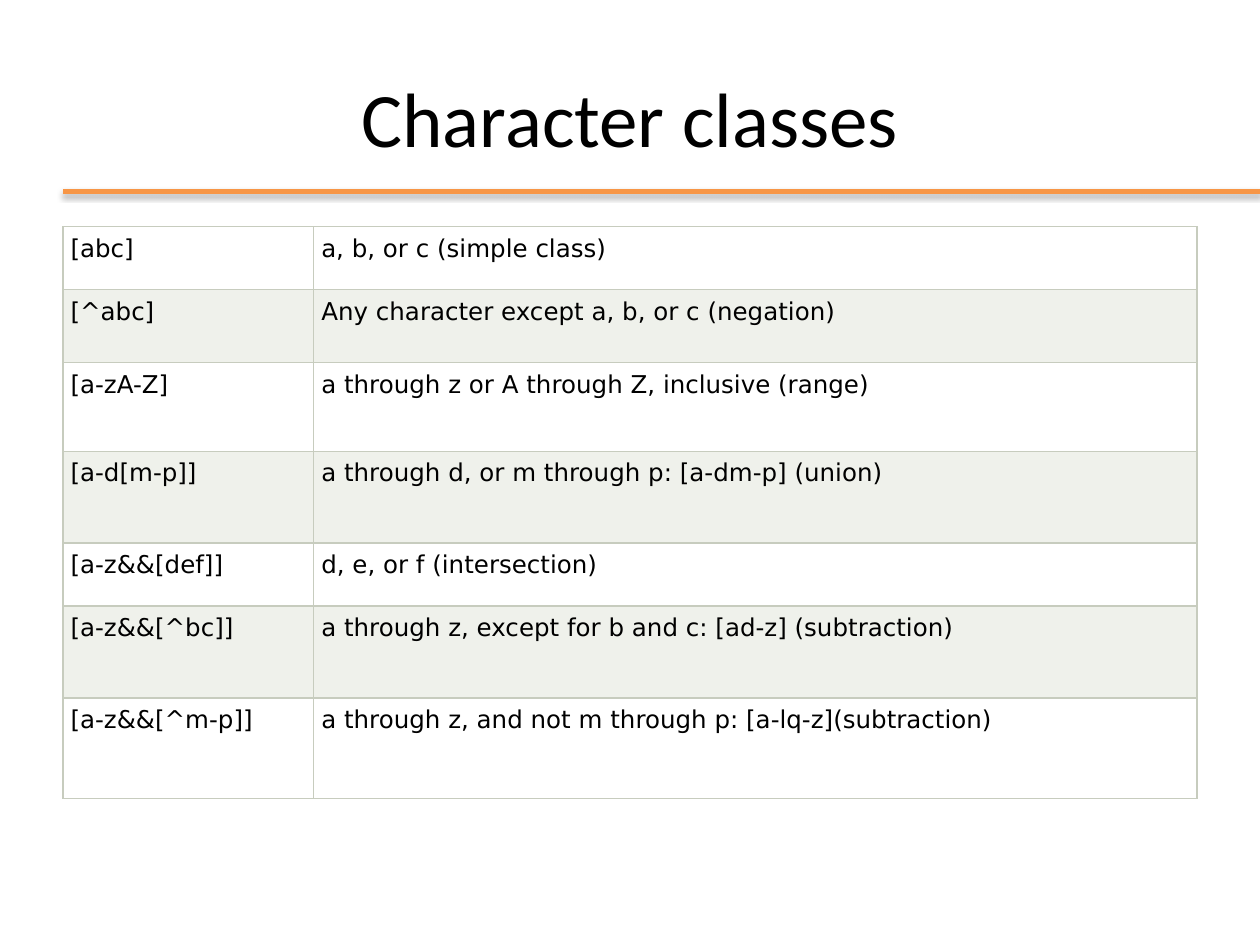
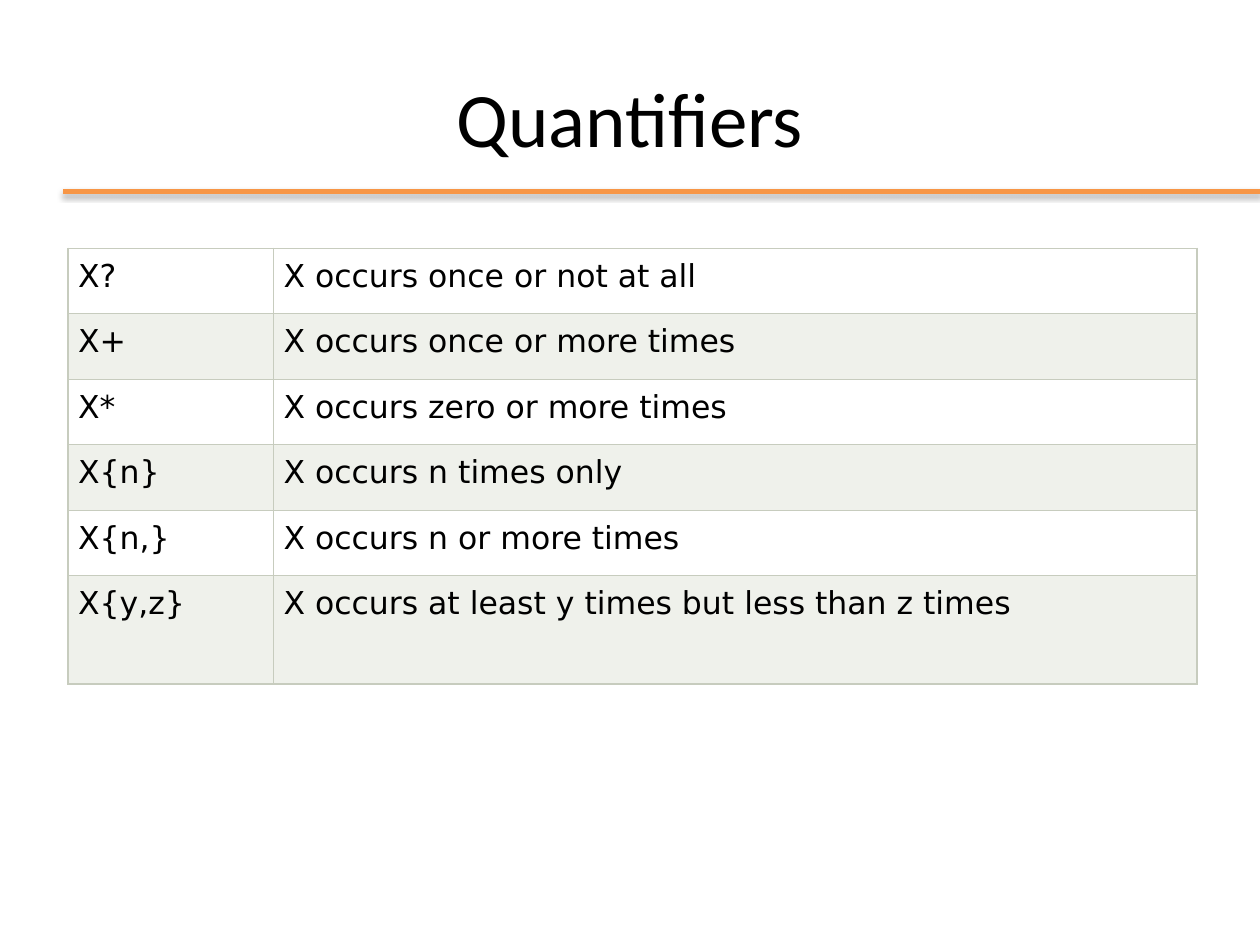
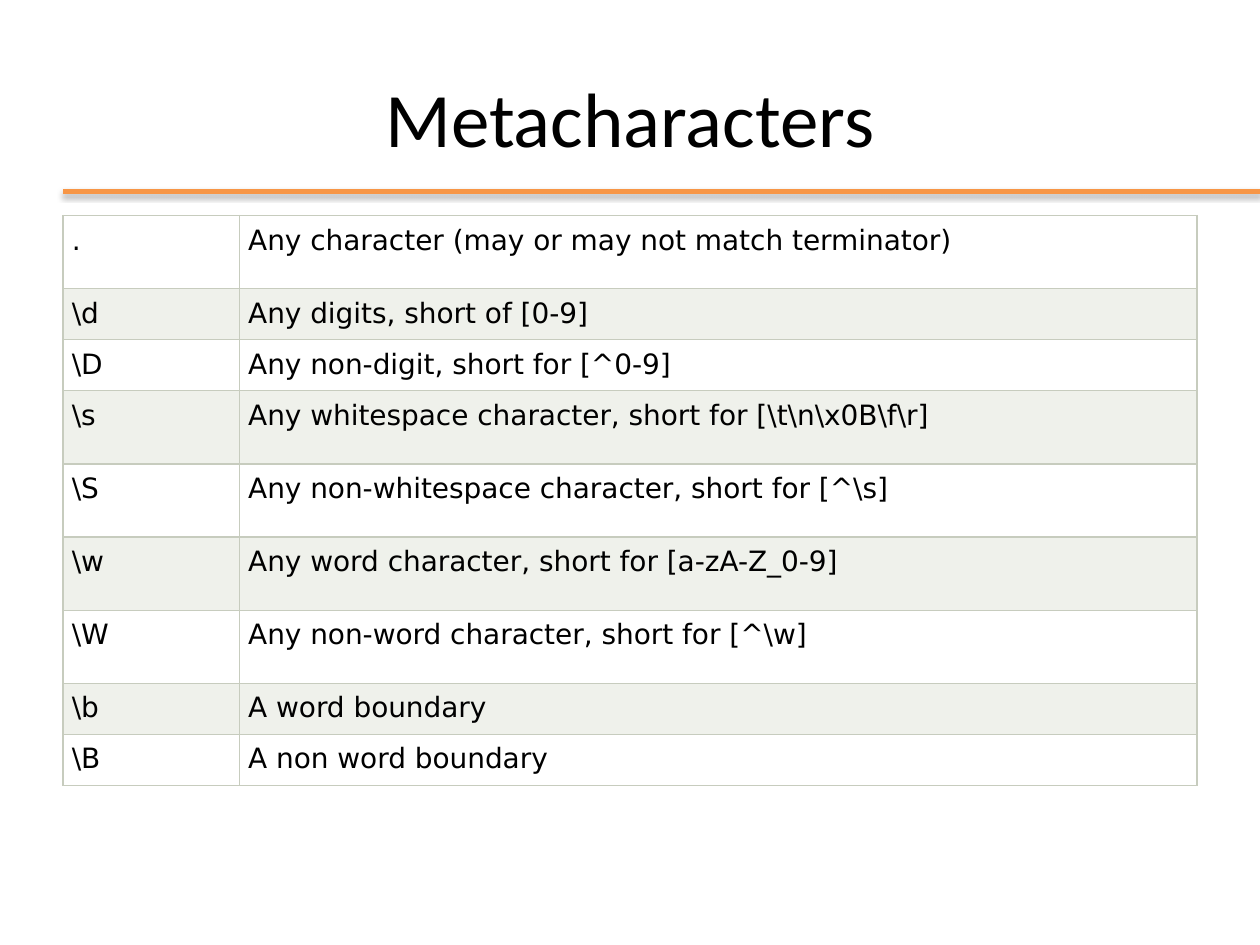
from dataclasses import dataclass

from lxml import etree
from pptx import Presentation
from pptx import util as u
from pptx.dml import color
from pptx.enum import shapes, text
from pptx.oxml import ns

# Content: each row is (expression, meaning, row height in inches).
SLIDES = [
    dict(title="Character classes", left=0.5, top=1.8, key_width=1.99, size=14, inset=0.06, rows=[
        ("[abc]", "a, b, or c (simple class)", 0.5),
        ("[^abc]", "Any character except a, b, or c (negation)", 0.58),
        ("[a-zA-Z]", "a through z or A through Z, inclusive (range)", 0.7),
        ("[a-d[m-p]]", "a through d, or m through p: [a-dm-p] (union)", 0.73),
        ("[a-z&&[def]]", "d, e, or f (intersection)", 0.5),
        ("[a-z&&[^bc]]", "a through z, except for b and c: [ad-z] (subtraction)", 0.73),
        ("[a-z&&[^m-p]]", "a through z, and not m through p: [a-lq-z](subtraction)", 0.8),
    ]),
    dict(title="Quantifiers", left=0.54, top=1.97, key_width=1.63, size=18, inset=0.08, rows=[
        ("X?", "X occurs once or not at all", 0.52),
        ("X+", "X occurs once or more times", 0.52),
        ("X*", "X occurs zero or more times", 0.52),
        ("X{n}", "X occurs n times only", 0.52),
        ("X{n,}", "X occurs n or more times", 0.52),
        ("X{y,z}", "X occurs at least y times but less than z times", 0.86),
    ]),
    dict(title="Metacharacters", left=0.5, top=1.71, key_width=1.4, size=16, inset=0.07, rows=[
        (".", "Any character (may or may not match terminator)", 0.58),
        (r"\d", "Any digits, short of [0-9]", 0.4),
        (r"\D", "Any non-digit, short for [^0-9]", 0.4),
        (r"\s", r"Any whitespace character, short for [\t\n\x0B\f\r]", 0.58),
        (r"\S", r"Any non-whitespace character, short for [^\s]", 0.58),
        (r"\w", "Any word character, short for [a-zA-Z_0-9]", 0.58),
        (r"\W", r"Any non-word character, short for [^\w]", 0.58),
        (r"\b", "A word boundary", 0.4),
        (r"\B", "A non word boundary", 0.4),
    ]),
]


@dataclass(frozen=True)
class Theme:
    """Colours, fonts and measures shared by all slides."""
    ink: str = "000000"
    rule: str = "F79646"
    border: str = "C7CCBE"
    bands: tuple = ("FFFFFF", "EFF1EB")
    title_font: str = "Calibri"
    body_font: str = "DejaVu Sans"
    title_size: int = 44
    rule_width: float = 3
    border_width: float = 0.75
    width: float = 10
    height: float = 7.5
    margin: float = 0.5
    title_top: float = 0.3
    title_height: float = 1.25
    rule_y: float = 1.52


T = Theme()


def rgb(value):
    """Turn a hex string into a colour."""
    return color.RGBColor.from_string(value)


def write(tf, words, *, size, font, align=text.PP_ALIGN.LEFT, anchor=text.MSO_ANCHOR.TOP):
    """Put one formatted paragraph into a text frame."""
    tf.word_wrap = True
    tf.vertical_anchor = anchor
    p = tf.paragraphs[0]
    p.alignment = align
    r = p.add_run()
    r.text = words
    r.font.size = u.Pt(size)
    r.font.name = font
    r.font.color.rgb = rgb(T.ink)


def add_shadow(sp, *, blur, distance, opacity):
    """Give a line a soft shadow that falls straight down."""
    effects = etree.SubElement(sp._element.spPr, ns.qn("a:effectLst"))
    shadow = etree.SubElement(effects, ns.qn("a:outerShdw"), blurRad=str(u.Pt(blur)),
                              dist=str(u.Pt(distance)), dir=str(90 * 60000), rotWithShape="0")
    shade = etree.SubElement(shadow, ns.qn("a:srgbClr"), val=T.ink)
    etree.SubElement(shade, ns.qn("a:alpha"), val=str(opacity * 1000))


def add_header(s, title):
    """Draw the title and the rule below it."""
    y = u.Inches(T.rule_y)
    sp = s.shapes.add_connector(shapes.MSO_CONNECTOR.STRAIGHT,
                                u.Inches(T.margin), y, u.Inches(T.width), y)
    sp.line.color.rgb = rgb(T.rule)
    sp.line.width = u.Pt(T.rule_width)
    add_shadow(sp, blur=3.1, distance=1.8, opacity=35)
    box = s.shapes.add_textbox(u.Inches(T.margin), u.Inches(T.title_top),
                               u.Inches(T.width - 2 * T.margin), u.Inches(T.title_height))
    write(box.text_frame, title, size=T.title_size, font=T.title_font,
          align=text.PP_ALIGN.CENTER, anchor=text.MSO_ANCHOR.MIDDLE)


def add_borders(cell):
    """Outline the four sides of a cell."""
    tc_pr = cell._tc.get_or_add_tcPr()
    for i, side in enumerate(("lnL", "lnR", "lnT", "lnB")):
        ln = etree.Element(ns.qn("a:" + side), w=str(u.Pt(T.border_width)))
        fill = etree.SubElement(ln, ns.qn("a:solidFill"))
        etree.SubElement(fill, ns.qn("a:srgbClr"), val=T.border)
        tc_pr.insert(i, ln)


def add_reference(s, *, left, top, key_width, size, inset, rows):
    """Draw a banded two-column table that ends at the right margin."""
    width = T.width - T.margin - left
    height = sum(row[-1] for row in rows)
    table = s.shapes.add_table(len(rows), 2, u.Inches(left), u.Inches(top),
                               u.Inches(width), u.Inches(height)).table
    table.first_row = table.horz_banding = False
    for column, w in zip(table.columns, (key_width, width - key_width)):
        column.width = u.Inches(w)
    for i, (*words, row_height) in enumerate(rows):
        table.rows[i].height = u.Inches(row_height)
        for cell, entry in zip(table.rows[i].cells, words):
            cell.margin_left = cell.margin_right = u.Inches(inset)
            cell.margin_top = cell.margin_bottom = u.Inches(inset)
            cell.fill.solid()
            cell.fill.fore_color.rgb = rgb(T.bands[i % 2])
            add_borders(cell)
            write(cell.text_frame, entry, size=size, font=T.body_font)


def build():
    """Build and save the presentation."""
    prs = Presentation()
    prs.slide_width, prs.slide_height = u.Inches(T.width), u.Inches(T.height)
    for content in SLIDES:
        s = prs.slides.add_slide(prs.slide_layouts[6])
        table = dict(content)
        add_header(s, table.pop("title"))
        add_reference(s, **table)
    prs.save("out.pptx")


build()
